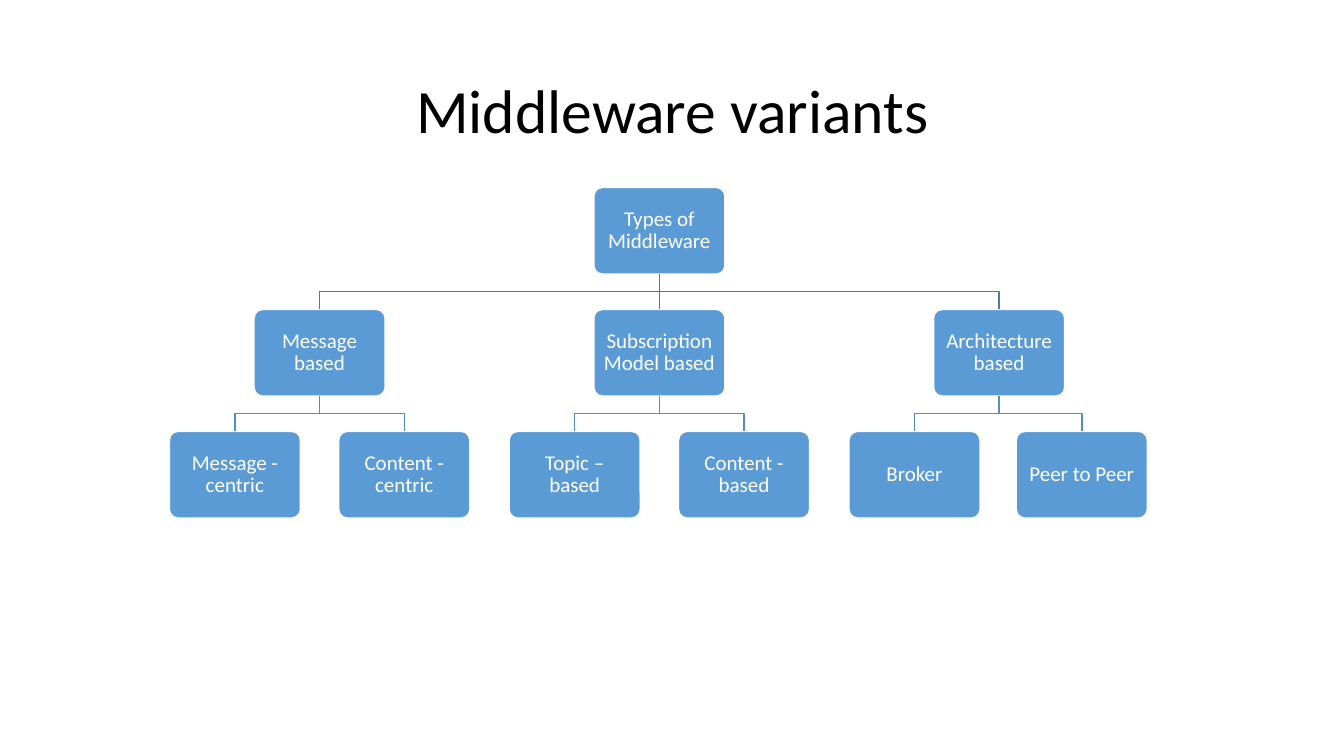
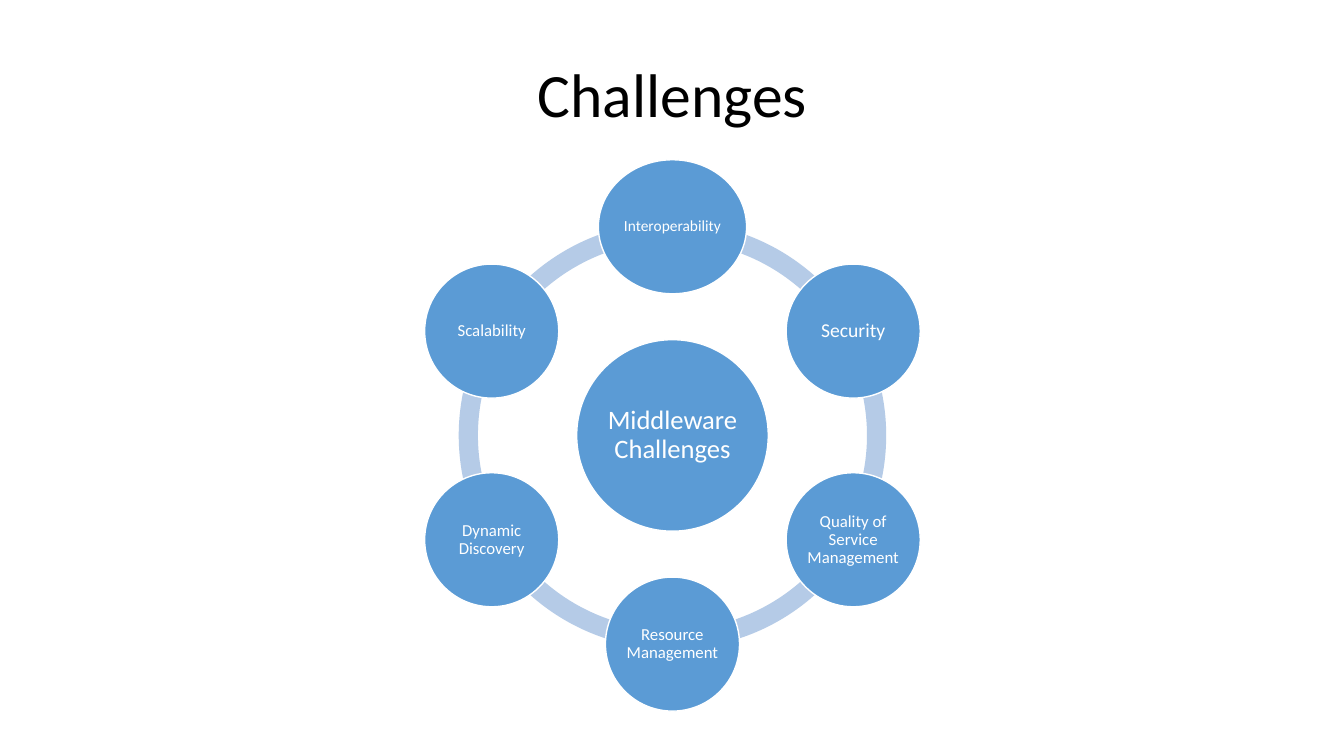
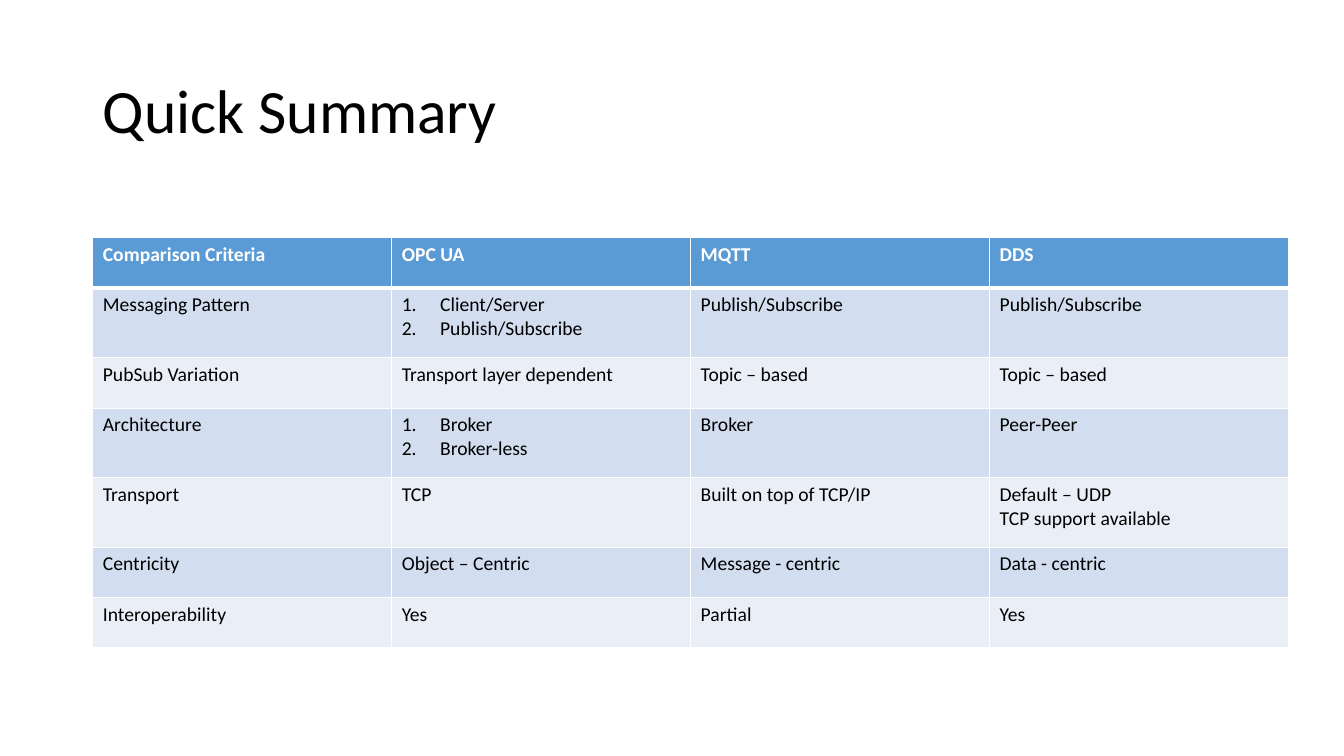
"""Build three slides on middleware: variants, challenges and a summary table."""
from math import cos, radians, sin

from lxml.etree import SubElement
from pptx import Presentation
from pptx.dml.color import RGBColor
from pptx.enum.shapes import MSO_CONNECTOR, MSO_SHAPE
from pptx.enum.text import MSO_ANCHOR, PP_ALIGN
from pptx.oxml.ns import qn
from pptx.util import Inches, Pt

FONT = "Calibri"
COLORS = {
    "text": "000000",
    "white": "FFFFFF",
    "accent": "5B9BD5",
    "ring": "B5CBE7",
    "upper_line": "497CAB",
    "lower_line": "538DC1",
    "band_dark": "D2DEEF",
    "band_light": "EAEFF7",
}

ROOT = "Types of Middleware"
BRANCHES = [
    ("Message based", [("Message - centric", -0.84), ("Content - centric", 0.84)]),
    ("Subscription Model based", [("Topic – based", -0.84), ("Content - based", 0.84)]),
    ("Architecture based", [("Broker", -0.84), ("Peer to Peer", 0.82)]),
]
BOX_WIDTH, BOX_HEIGHT = 1.3, 0.86
TREE_CENTER, TREE_TOP = 6.54, 1.86
LEVEL_PITCH, BRANCH_PITCH = 1.21, 3.37

HUB = "Middleware Challenges"
CHALLENGES = [
    ("Interoperability", 11, 1.47),
    ("Security", 14, 1.33),
    ("Quality of Service Management", 12, 1.33),
    ("Resource Management", 12, 1.33),
    ("Dynamic Discovery", 12, 1.33),
    ("Scalability", 12, 1.33),
]
CENTER_X, CENTER_Y = 6.67, 4.32
ORBIT, RING_SIZE, HUB_SIZE, CIRCLE_HEIGHT = 2.07, 4.24, 1.9, 1.33
FULL_TURN, ARC_START, RING_THICKNESS = 216, 18, 0.045

SUMMARY = [
    ["Comparison Criteria", "OPC UA", "MQTT", "DDS"],
    ["Messaging Pattern", ("Client/Server", "Publish/Subscribe"),
     "Publish/Subscribe", "Publish/Subscribe"],
    ["PubSub Variation", "Transport layer dependent", "Topic – based", "Topic – based"],
    ["Architecture", ("Broker", "Broker-less"), "Broker", "Peer-Peer"],
    ["Transport", "TCP", "Built on top of TCP/IP", "Default – UDP\nTCP support available"],
    ["Centricity", "Object – Centric", "Message - centric", "Data - centric"],
    ["Interoperability", "Yes", "Partial", "Yes"],
]
ROW_HEIGHTS = [0.5, 0.69, 0.5, 0.69, 0.69, 0.5, 0.5]
TABLE_WIDTH = 11.86


def rgb(name):
    return RGBColor.from_string(COLORS[name])


def style(paragraph, size, color, align=PP_ALIGN.LEFT, bold=False):
    paragraph.alignment = align
    font = paragraph.font
    font.name, font.size, font.bold = FONT, Pt(size), bold
    font.color.rgb = rgb(color)


def add_slide(deck, title, top=0.4, align=PP_ALIGN.CENTER):
    page = deck.slides.add_slide(deck.slide_layouts[6])
    box = page.shapes.add_textbox(Inches(0.92), Inches(top), Inches(11.5), Inches(1.45))
    frame = box.text_frame
    frame.word_wrap = True
    frame.vertical_anchor = MSO_ANCHOR.MIDDLE
    frame.text = title
    frame.paragraphs[0].line_spacing = 0.9
    style(frame.paragraphs[0], 44, "text", align)
    return page


def add_node(page, kind, center_x, center_y, width, height, text, size, inset):
    node = page.shapes.add_shape(kind, Inches(center_x - width / 2),
                                 Inches(center_y - height / 2), Inches(width), Inches(height))
    node.shadow.inherit = False
    node.fill.solid()
    node.fill.fore_color.rgb = rgb("accent")
    node.line.color.rgb = rgb("white")
    node.line.width = Pt(1)
    frame = node.text_frame
    frame.word_wrap = True
    frame.vertical_anchor = MSO_ANCHOR.MIDDLE
    frame.margin_left = frame.margin_right = Inches(inset)
    frame.margin_top = frame.margin_bottom = Inches(inset)
    frame.text = text
    frame.paragraphs[0].line_spacing = 0.9
    style(frame.paragraphs[0], size, "white", PP_ALIGN.CENTER)
    return node


def add_tree_box(page, center_x, level, text):
    center_y = TREE_TOP + level * LEVEL_PITCH + BOX_HEIGHT / 2
    box = add_node(page, MSO_SHAPE.ROUNDED_RECTANGLE, center_x, center_y,
                   BOX_WIDTH, BOX_HEIGHT, text, 15, 0.06)
    box.adjustments[0] = 0.1
    return box


def join(page, parent, child, color):
    start_x, start_y = parent.left + parent.width // 2, parent.top + parent.height
    end_x, end_y = child.left + child.width // 2, child.top
    if start_x == end_x:
        link = page.shapes.add_connector(MSO_CONNECTOR.STRAIGHT, start_x, start_y, end_x, end_y)
        link.begin_connect(parent, 2)
        link.end_connect(child, 0)
        SubElement(link._element.spPr, qn("a:effectLst"))
    else:
        middle_y = (start_y + end_y) // 2
        builder = page.shapes.build_freeform(start_x, start_y)
        builder.add_line_segments([(start_x, middle_y), (end_x, middle_y), (end_x, end_y)],
                                  close=False)
        link = builder.convert_to_shape()
        link.shadow.inherit = False
        link.fill.background()
    link.line.color.rgb = rgb(color)
    link.line.width = Pt(1)


def build_variants(deck):
    page = add_slide(deck, "Middleware variants")
    root = add_tree_box(page, TREE_CENTER, 0, ROOT)
    for index, (name, leaves) in enumerate(BRANCHES):
        branch_x = TREE_CENTER + (index - 1) * BRANCH_PITCH
        branch = add_tree_box(page, branch_x, 1, name)
        join(page, root, branch, "upper_line")
        for leaf_name, offset in leaves:
            leaf = add_tree_box(page, branch_x + offset, 2, leaf_name)
            join(page, branch, leaf, "lower_line")


def build_challenges(deck):
    page = add_slide(deck, "Challenges", top=0.24)
    step = FULL_TURN // len(CHALLENGES)
    for index in range(len(CHALLENGES)):
        start = ARC_START + index * step
        arc = page.shapes.add_shape(
            MSO_SHAPE.BLOCK_ARC, Inches(CENTER_X - RING_SIZE / 2),
            Inches(CENTER_Y - RING_SIZE / 2), Inches(RING_SIZE), Inches(RING_SIZE))
        for place, value in enumerate((start, (start + step) % FULL_TURN, RING_THICKNESS)):
            arc.adjustments[place] = value
        arc.shadow.inherit = False
        arc.fill.solid()
        arc.fill.fore_color.rgb = rgb("ring")
        arc.line.fill.background()
    add_node(page, MSO_SHAPE.OVAL, CENTER_X, CENTER_Y, HUB_SIZE, HUB_SIZE, HUB, 19, 0)
    for index, (name, size, width) in enumerate(CHALLENGES):
        angle = radians(index * 360 / len(CHALLENGES))
        add_node(page, MSO_SHAPE.OVAL, CENTER_X + ORBIT * sin(angle),
                 CENTER_Y - ORBIT * cos(angle), width, CIRCLE_HEIGHT, name, size, 0)


def set_borders(cell, row):
    widths = {"lnL": 1, "lnR": 1, "lnT": 3 if row == 1 else 1, "lnB": 3 if row == 0 else 1}
    properties = cell._tc.get_or_add_tcPr()
    for side, width in widths.items():
        line = SubElement(properties, qn(f"a:{side}"), w=str(Pt(width)))
        fill = SubElement(line, qn("a:solidFill"))
        SubElement(fill, qn("a:srgbClr"), val=COLORS["white"])


def number(paragraph):
    properties = paragraph._p.get_or_add_pPr()
    properties.set("marL", str(Inches(0.38)))
    properties.set("indent", str(-Inches(0.38)))
    SubElement(properties, qn("a:buFont"), typeface="+mj-lt")
    SubElement(properties, qn("a:buAutoNum"), type="arabicPeriod")


def fill_cell(cell, row, content):
    numbered = isinstance(content, tuple)
    cell.text = "\n".join(content) if numbered else content
    for paragraph in cell.text_frame.paragraphs:
        if numbered:
            number(paragraph)
        style(paragraph, 14, "text" if row else "white", bold=row == 0)
    set_borders(cell, row)
    cell.fill.solid()
    band = "band_dark" if row % 2 else "band_light"
    cell.fill.fore_color.rgb = rgb(band if row else "accent")


def build_summary(deck):
    page = add_slide(deck, "Quick Summary", align=PP_ALIGN.LEFT)
    table = page.shapes.add_table(
        len(SUMMARY), len(SUMMARY[0]), Inches(0.92), Inches(2.36),
        Inches(TABLE_WIDTH), Inches(sum(ROW_HEIGHTS))).table
    table.horz_banding = False
    for row, (height, contents) in enumerate(zip(ROW_HEIGHTS, SUMMARY)):
        table.rows[row].height = Inches(height)
        for column, content in enumerate(contents):
            fill_cell(table.cell(row, column), row, content)


def main():
    deck = Presentation()
    deck.slide_width, deck.slide_height = Inches(13.33), Inches(7.5)
    build_variants(deck)
    build_challenges(deck)
    build_summary(deck)
    deck.save("out.pptx")


if __name__ == "__main__":
    main()
